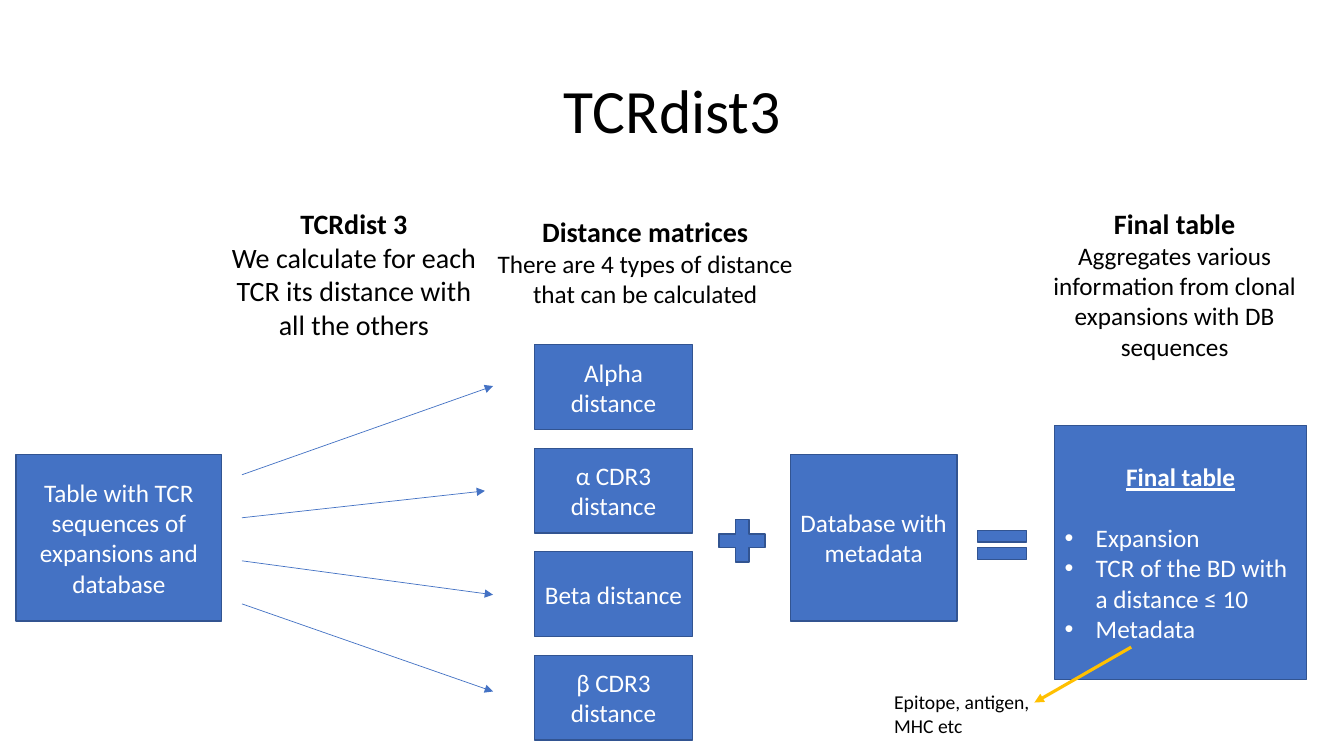
from lxml import etree
from pptx import Presentation
from pptx.dml.color import RGBColor
from pptx.enum.shapes import MSO_CONNECTOR, MSO_SHAPE
from pptx.enum.text import MSO_ANCHOR, PP_ALIGN
from pptx.oxml.ns import qn
from pptx.util import Inches, Pt

CELL = 0.1  # side of one grid cell in inches; columns and rows are counted in cells
BLUE, EDGE, GOLD, BLACK, WHITE = "4472C4", "325491", "FFC000", "000000", "FFFFFF"


def rgb(value):
    """Turn a hex string into a colour."""
    return RGBColor.from_string(value)


def cells(*counts):
    """Turn counts of grid cells into lengths."""
    return [Inches(count * CELL) for count in counts]


class Diagram:
    """Holds the style and the current slide."""

    font = "Calibri"
    body = 18

    def __init__(self, slide):
        """Keep the slide to draw on."""
        self.slide = slide

    def styled_run(self, paragraph, text, size, color, bold=False, align=PP_ALIGN.CENTER):
        """Put one styled run into a paragraph."""
        paragraph.alignment = align
        run = paragraph.add_run()
        run.text = text
        run.font.name, run.font.size, run.font.bold = self.font, Pt(size), bold
        run.font.color.rgb = rgb(color)
        return run

    def label(self, area, text, size, heading=None, align=PP_ALIGN.CENTER):
        """Add black text, with an optional bold heading above it."""
        frame = self.slide.shapes.add_textbox(*cells(*area)).text_frame
        frame.word_wrap = True
        paragraph = frame.paragraphs[0]
        if heading:
            self.styled_run(paragraph, heading, 20, BLACK, bold=True)
            paragraph = frame.add_paragraph()
        self.styled_run(paragraph, text, size, BLACK, align=align)
        return frame

    def title(self, area, text):
        """Add the slide title, centred in its area."""
        frame = self.label(area, text, 44)
        frame.vertical_anchor = MSO_ANCHOR.MIDDLE
        frame.paragraphs[0].line_spacing = 0.9

    def shape(self, area, kind=MSO_SHAPE.RECTANGLE):
        """Add a blue preset shape and return its text frame."""
        shape = self.slide.shapes.add_shape(kind, *cells(*area))
        shape.shadow.inherit = False
        shape.fill.solid()
        shape.fill.fore_color.rgb = rgb(BLUE)
        shape.line.color.rgb = rgb(EDGE)
        shape.line.width = Pt(1)
        frame = shape.text_frame
        frame.word_wrap = True
        frame.vertical_anchor = MSO_ANCHOR.MIDDLE
        return frame

    def box(self, area, text):
        """Add a blue box with centred white text."""
        self.styled_run(self.shape(area).paragraphs[0], text, self.body, WHITE)

    def list_box(self, area, heading, items):
        """Add a blue box with an underlined heading and bullets."""
        frame = self.shape(area)
        top = frame.paragraphs[0]
        self.styled_run(top, heading, self.body, WHITE, bold=True).font.underline = True
        top.space_after = Pt(22)
        for item in items:
            paragraph = frame.add_paragraph()
            self.styled_run(paragraph, item, self.body, WHITE, align=PP_ALIGN.LEFT)
            props = paragraph._p.get_or_add_pPr()
            indent = Inches(0.31)
            props.set("marL", str(indent))
            props.set("indent", str(-indent))
            etree.SubElement(props, qn("a:buFont")).set("typeface", "Arial")
            etree.SubElement(props, qn("a:buChar")).set("char", "•")

    def arrow(self, start, end, color=BLUE, width=0.5):
        """Add a straight arrow that points at its end."""
        line = self.slide.shapes.add_connector(
            MSO_CONNECTOR.STRAIGHT, *cells(*start, *end))
        line.line.color.rgb = rgb(color)
        line.line.width = Pt(width)
        outline = line._element.spPr.find(qn("a:ln"))
        etree.SubElement(outline, qn("a:tailEnd")).set("type", "triangle")
        etree.SubElement(line._element.spPr, qn("a:effectLst"))


def main():
    """Build the slide and save it."""
    deck = Presentation()
    deck.slide_width, deck.slide_height = Inches(13.33), Inches(7.5)
    page = Diagram(deck.slides.add_slide(deck.slide_layouts[6]))

    page.title((9.2, 4, 115, 14.5), "TCRdist3")
    page.label((22, 20, 26.2, 14.5),
               "We calculate for each TCR its distance with all the others",
               20, heading="TCRdist 3")
    page.label((48.1, 20.8, 31.8, 10.4),
               "There are 4 types of distance that can be calculated",
               18, heading="Distance matrices")
    page.label((102.6, 20, 27.8, 16.5),
               "Aggregates various information from clonal expansions with DB sequences",
               18, heading="Final table")

    middle_row, middle_height = 45.1, 16.5
    page.box((1.6, middle_row, 20.4, middle_height),
             "Table with TCR sequences of expansions and database")
    distances = ["Alpha distance", "α CDR3 distance", "Beta distance", "β CDR3 distance"]
    tips = [(48.9, 38.3), (48.1, 48.7), (48.9, 59), (48.9, 68.6)]
    for index, (name, tip) in enumerate(zip(distances, tips)):
        page.box((53, 34.2 + 10.27 * index, 15.7, 8.4), name)
        page.arrow((24, 47.1 + 4.27 * index), tip)

    page.shape((70.5, 50.8, 6.2, 5.7), MSO_SHAPE.MATH_PLUS)
    page.box((78.4, middle_row, 16.5, middle_height), "Database with metadata")
    page.shape((96.1, 51.6, 6.6, 4.9), MSO_SHAPE.MATH_EQUAL)
    page.list_box((104.6, 42.2, 25, 25.2), "Final table",
                  ["Expansion", "TCR of the BD with a distance ≤ 10", "Metadata"])
    page.arrow((112.2, 64.2), (102.6, 69.7), GOLD, 2.25)
    page.label((87.7, 68, 15.5, 5.7), "Epitope, antigen, MHC etc", 14, align=PP_ALIGN.LEFT)

    deck.save("out.pptx")


main()
